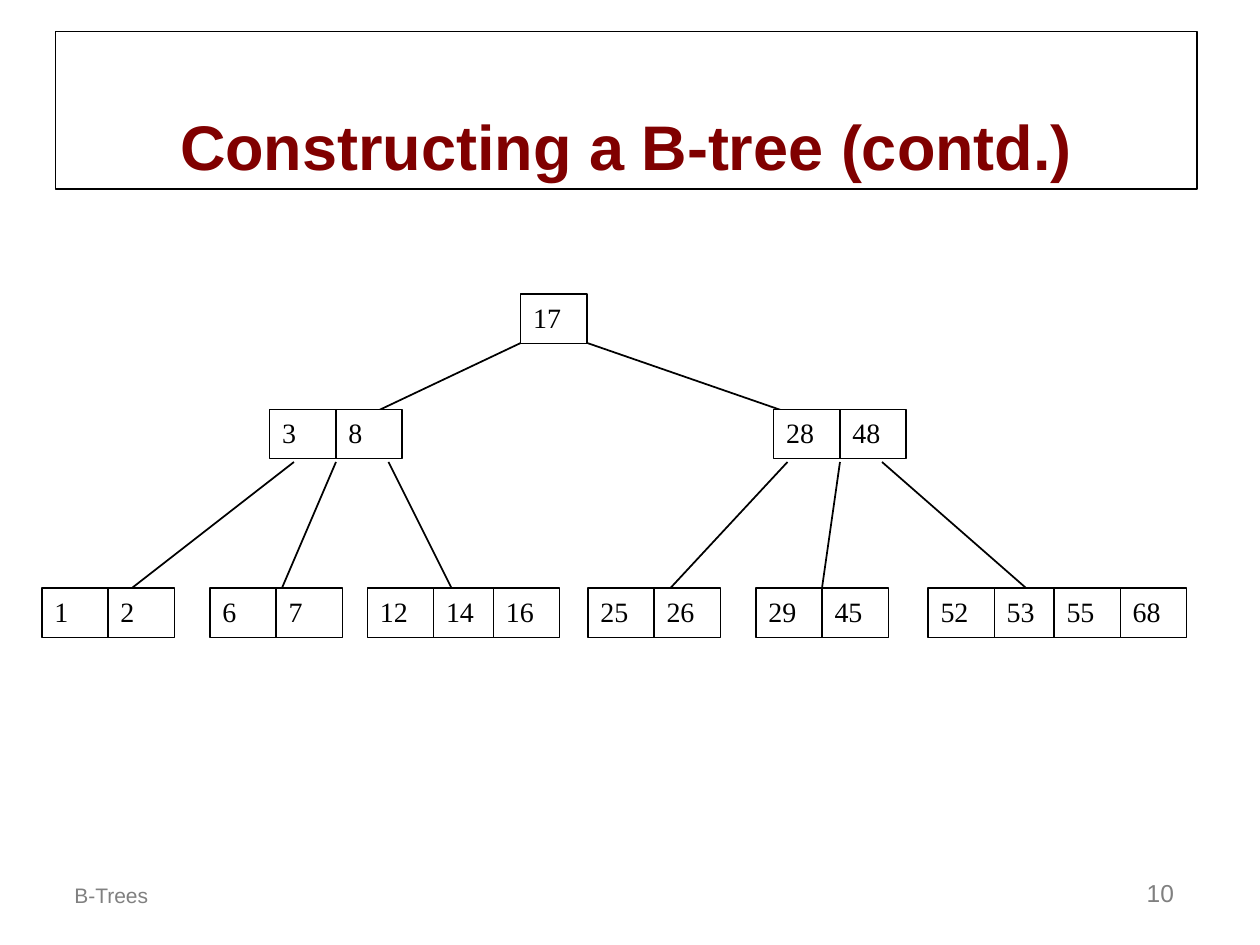
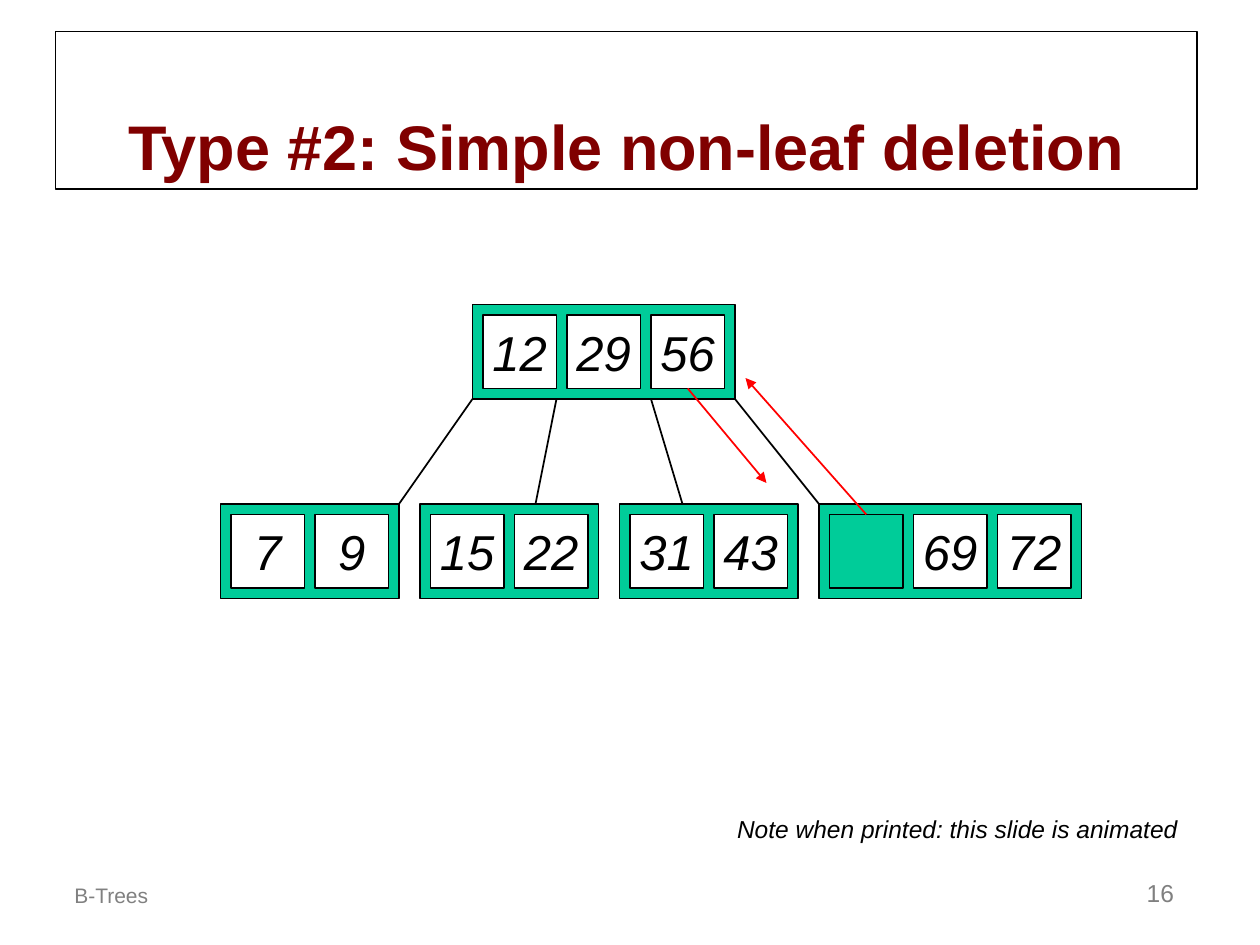
from lxml import etree
from pptx import Presentation
from pptx.dml.color import RGBColor
from pptx.enum.shapes import MSO_CONNECTOR, MSO_SHAPE
from pptx.enum.text import MSO_ANCHOR, MSO_AUTO_SIZE, PP_ALIGN
from pptx.oxml.ns import qn
from pptx.util import Pt

PX = 7620  # EMU per px, 120 px to the inch
COLORS = {
    "title": "800000",
    "ink": "000000",
    "paper": "FFFFFF",
    "node": "00CC99",
    "move": "FF0000",
    "footer": "808080",
}

# Plain tree: key cells, with their left offsets inside a node
KEY_WIDTH, KEY_HEIGHT = 63, 47
KEY_OFFSETS = (0, 63, 120, 183)

# Framed tree: square key cells with an even margin
CELL, MARGIN = 70, 10
PITCH = CELL + MARGIN
NODE_HEIGHT = CELL + 2 * MARGIN
LEAF_GAP = 20


def emu(*lengths):
    return [length * PX for length in lengths]


def rgb(name):
    return RGBColor.from_string(COLORS[name])


def write(shape, text, size, color="ink", font="Arial", align=PP_ALIGN.LEFT,
          anchor=MSO_ANCHOR.TOP, wrap=True, bold=False, italic=False):
    frame = shape.text_frame
    frame.text = text
    frame.auto_size = MSO_AUTO_SIZE.NONE
    frame.word_wrap = wrap
    frame.vertical_anchor = anchor
    para = frame.paragraphs[0]
    para.alignment = align
    for span in para.runs:
        span.font.name = font
        span.font.size = Pt(size)
        span.font.bold = bold
        span.font.italic = italic
        span.font.color.rgb = rgb(color)


def add_text(page, place, text, size, **style):
    box = page.shapes.add_textbox(*emu(*place))
    write(box, text, size, **style)


def add_box(page, place, fill="paper", width=1):
    box = page.shapes.add_shape(MSO_SHAPE.RECTANGLE, *emu(*place))
    box.shadow.inherit = False
    box.fill.solid()
    box.fill.fore_color.rgb = rgb(fill)
    box.line.color.rgb = rgb("ink")
    box.line.width = Pt(width)
    return box


def add_line(page, start, end, color="ink", arrow=False):
    line = page.shapes.add_connector(MSO_CONNECTOR.STRAIGHT, *emu(*start, *end))
    line.line.color.rgb = rgb(color)
    line.line.width = Pt(1)
    if arrow:
        etree.SubElement(line.line._get_or_add_ln(), qn("a:tailEnd"), type="triangle")
    etree.SubElement(line._element.spPr, qn("a:effectLst"))
    return line


def add_page(deck, title, number):
    """Add a slide with the framed title and the footer."""
    page = deck.slides.add_slide(deck.slide_layouts[5])
    heading = page.shapes.title
    heading.left, heading.top, heading.width, heading.height = emu(53, 30, 1087, 150)
    heading.line.color.rgb = rgb("ink")
    heading.line.width = Pt(0.75)
    write(heading, title, 36, "title", align=PP_ALIGN.CENTER,
          anchor=MSO_ANCHOR.BOTTOM, bold=True)
    add_text(page, (59, 810, 360, 60), "B-Trees", 12, color="footer",
             anchor=MSO_ANCHOR.BOTTOM)
    add_text(page, (880, 810, 250, 60), number, 14, color="footer",
             align=PP_ALIGN.RIGHT, anchor=MSO_ANCHOR.BOTTOM)
    return page


def add_plain_node(page, left, top, keys):
    for offset, key in zip(KEY_OFFSETS, keys):
        cell = add_box(page, (left + offset, top, KEY_WIDTH, KEY_HEIGHT), width=0.75)
        write(cell, key, 16, font="Times New Roman")


def add_framed_node(page, left, top, keys):
    """Draw a node and return its cells; an empty key is a vacated cell."""
    add_box(page, (left, top, MARGIN + PITCH * len(keys), NODE_HEIGHT), "node")
    cells = []
    for index, key in enumerate(keys):
        place = (left + MARGIN + index * PITCH, top + MARGIN, CELL, CELL)
        cell = add_box(page, place, "paper" if key else "node")
        if key:
            write(cell, key, 28, align=PP_ALIGN.CENTER, anchor=MSO_ANCHOR.MIDDLE,
                  wrap=False, italic=True)
        cells.append(cell)
    return cells


def add_branches(page, top, bottom, spans):
    for start, end in spans:
        add_line(page, (start, top), (end, bottom))


def build_construction(deck):
    page = add_page(deck, "Constructing a B-tree (contd.)", "10")

    # Branches lie behind the nodes
    add_branches(page, 440, 580, [(280, 100), (320, 260), (370, 440),
                                  (750, 620), (800, 780), (840, 1000)])
    add_branches(page, 320, 410, [(510, 320), (540, 800)])

    # Nodes of each level: left edge and keys
    levels = {
        280: [(496, ["17"])],
        390: [(257, ["3", "8"]), (737, ["28", "48"])],
        560: [(40, ["1", "2"]), (200, ["6", "7"]), (350, ["12", "14", "16"]),
              (560, ["25", "26"]), (720, ["29", "45"]),
              (884, ["52", "53", "55", "68"])],
    }
    for top, nodes in levels.items():
        for left, keys in nodes:
            add_plain_node(page, left, top, keys)


def build_deletion(deck):
    page = add_page(deck, "Type #2: Simple non-leaf deletion", "16")
    root_top, leaf_top = 290, 480

    # Root, leaves and branches
    root_cells = add_framed_node(page, 450, root_top, ["12", "29", "56"])
    left = 210
    for keys in (["7", "9"], ["15", "22"], ["31", "43"], ["", "69", "72"]):
        leaf_cells = add_framed_node(page, left, leaf_top, keys)
        left += MARGIN + PITCH * len(keys) + LEAF_GAP
    add_branches(page, root_top + NODE_HEIGHT, leaf_top,
                 [(450, 380), (530, 510), (620, 650), (700, 780)])

    # Deleted key leaves the root, its successor moves up
    deleted = add_line(page, (655, 370), (730, 460), "move", arrow=True)
    deleted.begin_connect(root_cells[-1], 2)
    successor = add_line(page, (825, 490), (710, 360), "move", arrow=True)
    successor.begin_connect(leaf_cells[0], 0)

    add_text(page, (690, 769, 444, 41), "Note when printed: this slide is animated",
             14, align=PP_ALIGN.CENTER, anchor=MSO_ANCHOR.MIDDLE, wrap=False,
             italic=True)


def main():
    deck = Presentation()
    deck.slide_width, deck.slide_height = emu(1200, 900)
    build_construction(deck)
    build_deletion(deck)
    deck.save("out.pptx")


if __name__ == "__main__":
    main()
